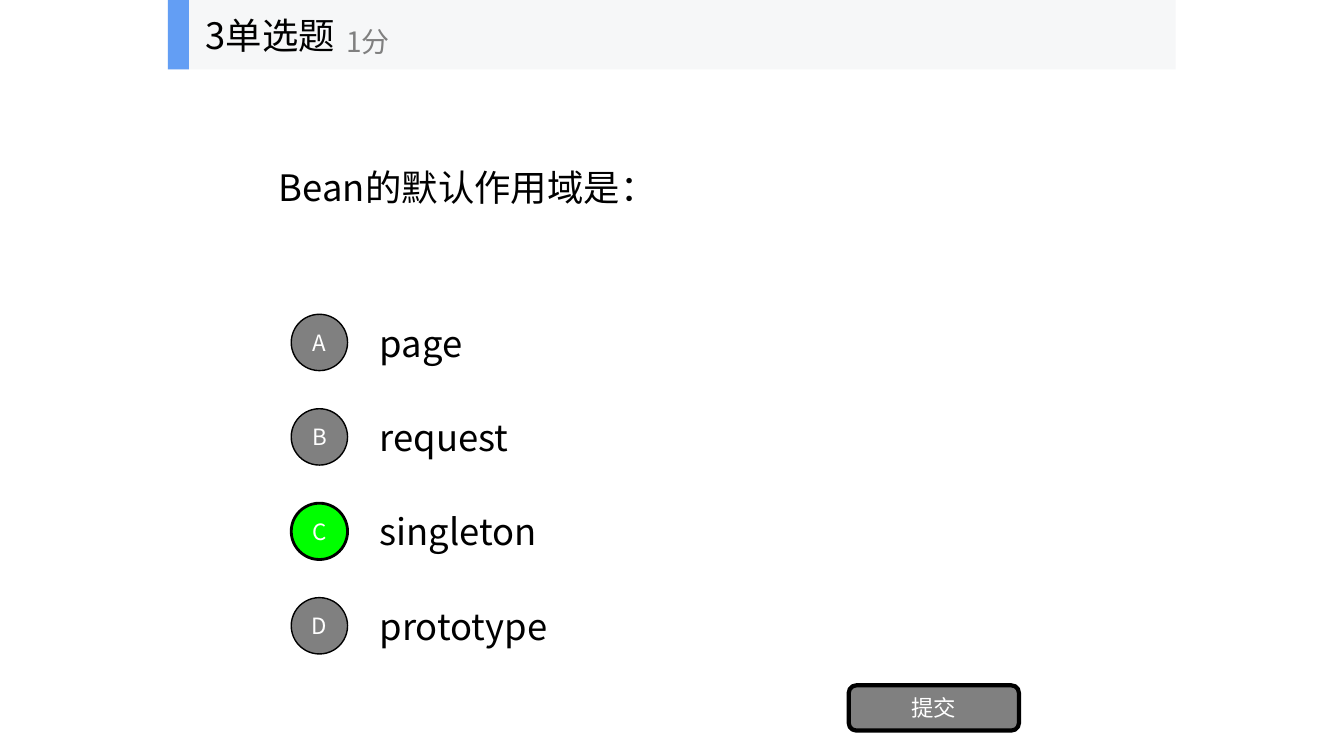
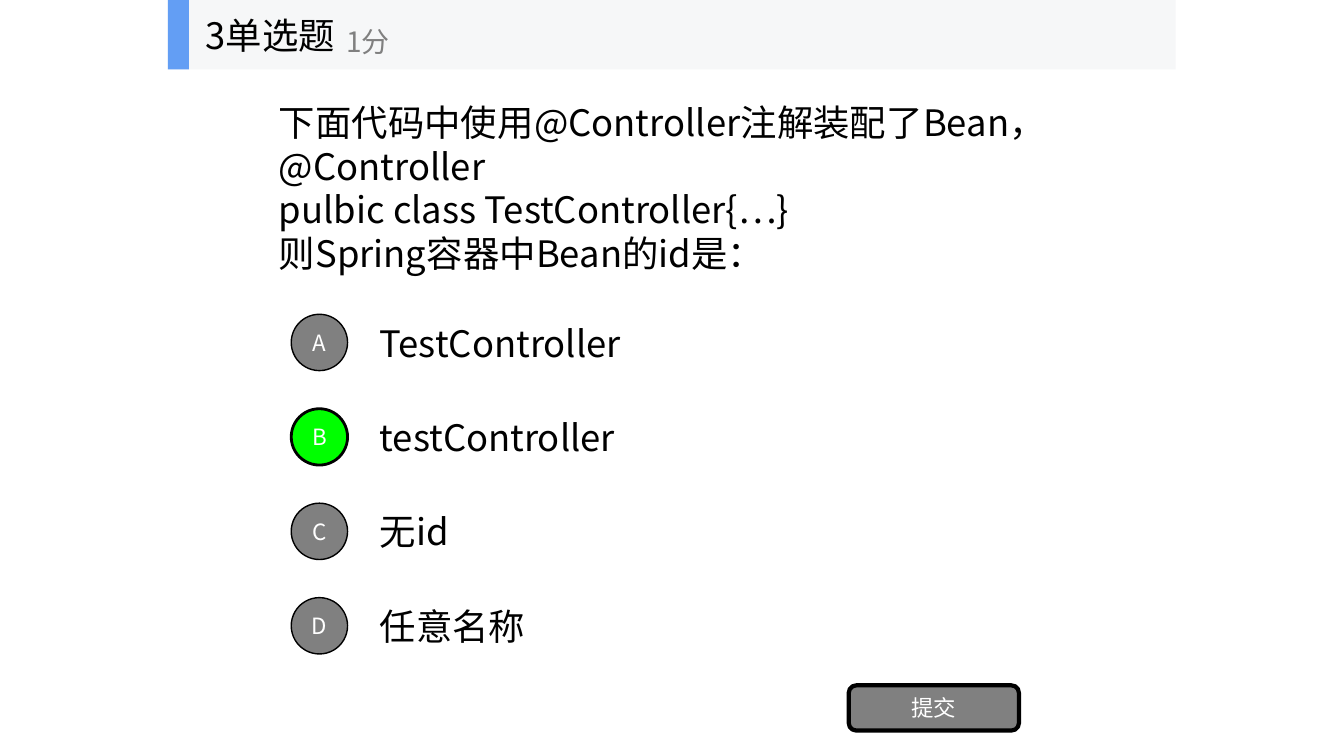
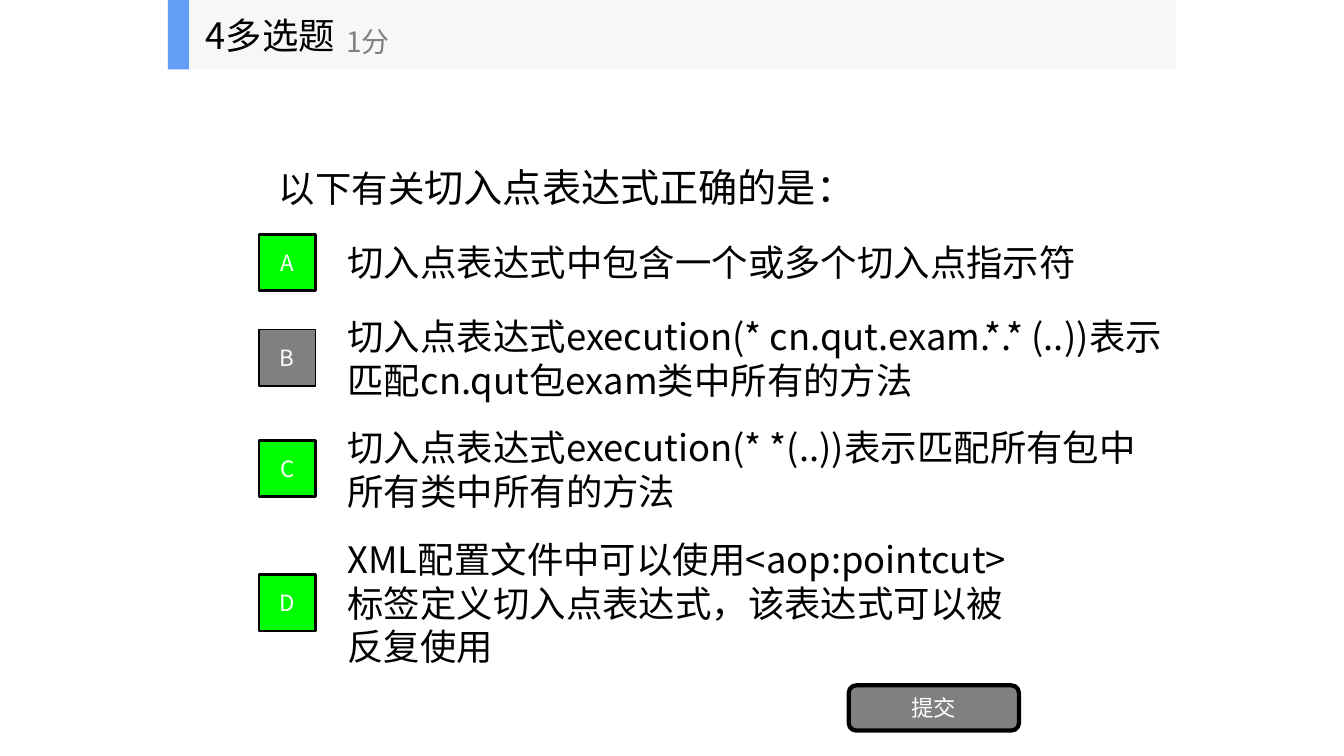
from dataclasses import dataclass

from lxml import etree
from pptx import Presentation
from pptx.dml.color import RGBColor
from pptx.enum.shapes import MSO_SHAPE
from pptx.enum.text import MSO_ANCHOR, PP_ALIGN
from pptx.oxml.ns import qn
from pptx.util import Cm, Pt

RECT = MSO_SHAPE.RECTANGLE
ROUND = MSO_SHAPE.ROUNDED_RECTANGLE
OVAL = MSO_SHAPE.OVAL
MIDDLE = MSO_ANCHOR.MIDDLE
LEFT, CENTER = PP_ALIGN.LEFT, PP_ALIGN.CENTER


@dataclass(frozen=True)
class Theme:
    font: str = "Noto Sans CJK SC"
    alt: str = "Arial"
    black: str = "000000"
    white: str = "FFFFFF"
    gray: str = "808080"
    green: str = "00FF00"
    blue: str = "639EF4"
    band: str = "F6F7F8"
    body: int = 26
    large: int = 28
    score: int = 20
    label: int = 16


THEME = Theme()
BODY = {"size": THEME.body, "name": THEME.font, "color": THEME.black}
LARGE = {**BODY, "size": THEME.large, "name": THEME.alt}
SCORE = {**BODY, "size": THEME.score, "color": THEME.gray}
LABEL = {**BODY, "size": THEME.label, "color": THEME.white}


def place(box):
    return [Cm(round(side, 2)) for side in box]


def style(run, look):
    for key, value in {"size": Pt(look["size"]), "name": look["name"]}.items():
        setattr(run.font, key, value)
    run.font.color.rgb = RGBColor.from_string(look["color"])
    east = etree.Element(qn("a:ea"), typeface=THEME.font)
    run.font._element.find(qn("a:latin")).addnext(east)


def write(frame, lines, look, align=LEFT, **form):
    form = {"word_wrap": True, "vertical_anchor": MIDDLE, **form}
    for key, value in form.items():
        setattr(frame, key, value)
    for index, line in enumerate(lines):
        para = frame.add_paragraph() if index else frame.paragraphs[0]
        para.alignment = align
        for part in [(line, look)] if isinstance(line, str) else line:
            run = para.add_run()
            run.text = part[0]
            style(run, part[1])


def text(shapes, box, lines, look, **form):
    write(shapes.add_textbox(*place(box)).text_frame, lines, look, **form)


def block(shapes, kind, box, fill, edge=0, label=""):
    shape = shapes.add_shape(kind, *place(box))
    shape.shadow.inherit = False
    shape.fill.solid()
    shape.fill.fore_color.rgb = RGBColor.from_string(fill)
    if edge:
        shape.line.color.rgb = RGBColor.from_string(THEME.black)
        shape.line.width = Pt(edge)
    else:
        shape.line.fill.background()
    if label:
        write(shape.text_frame, [label], LABEL, CENTER, margin_left=0,
              margin_right=0, margin_top=0, margin_bottom=0)


def header(slide, box, title, score):
    x, y, width, height = box
    shapes = slide.shapes.add_group_shape().shapes
    block(shapes, RECT, box, THEME.band)
    block(shapes, RECT, (x, y, 0.53, height), THEME.blue)
    text(shapes, (x + 0.7, y, 5.28, height), [title], BODY, word_wrap=False)
    text(shapes, (x + 4.25, y + 0.32, 6.35, height - 0.32), [score], SCORE,
         word_wrap=False)


def option(slide, box, kind, letter, answer, right):
    x, y, width, height = box
    size = 1.42
    text(slide.shapes, box, [answer], BODY)
    block(slide.shapes, kind, (x - 1.98, y + (height - size) / 2, size, size),
          THEME.green if right else THEME.gray, 2 if right else 1, letter)


def quiz(deck, title, ask, answers, rights, kind, boxes):
    slide = deck.slides.add_slide(deck.slide_layouts[6])
    text(slide.shapes, (6.78, 1.75, 20.32, 5.94), ask, BODY)
    for letter, answer, box in zip("ABCD", answers, boxes):
        option(slide, box, kind, letter, answer, letter in rights)
    block(slide.shapes, ROUND, (21.39, 17.27, 4.29, 1.14), THEME.gray, 3, "提交")
    header(slide, (4.23, 0, 25.4, 1.75), title, "1分")


def main():
    deck = Presentation()
    deck.slide_width, deck.slide_height = Cm(33.87), Cm(19.05)
    even = [(9.32, 7.74 + 2.38 * row, 17.78, 1.78) for row in range(4)]
    loose = [(8.51, top, width, 1.78) for top, width in
             ((5.72, 19.43), (8.13, 21.11), (10.92, 20.78), (14.3, 17.78))]
    quiz(deck, "3单选题", ["Bean的默认作用域是："],
         ["page", "request", "singleton", "prototype"], "C", OVAL, even)
    quiz(deck, "3单选题",
         ["下面代码中使用@Controller注解装配了Bean，@Controller",
          "pulbic class TestController{…}",
          "则Spring容器中Bean的id是："],
         ["TestController", "testController", "无id", "任意名称"],
         "B", OVAL, even)
    quiz(deck, "4多选题",
         [[("以下有关", BODY), ("切入点表达式正确的是：", LARGE)]],
         ["切入点表达式中包含一个或多个切入点指示符",
          "切入点表达式execution(* cn.qut.exam.*.* (..))表示匹配cn.qut包exam类中所有的方法",
          "切入点表达式execution(* *(..))表示匹配所有包中所有类中所有的方法",
          "XML配置文件中可以使用<aop:pointcut>标签定义切入点表达式，该表达式可以被反复使用"],
         "ACD", RECT, loose)
    deck.save("out.pptx")


if __name__ == "__main__":
    main()
